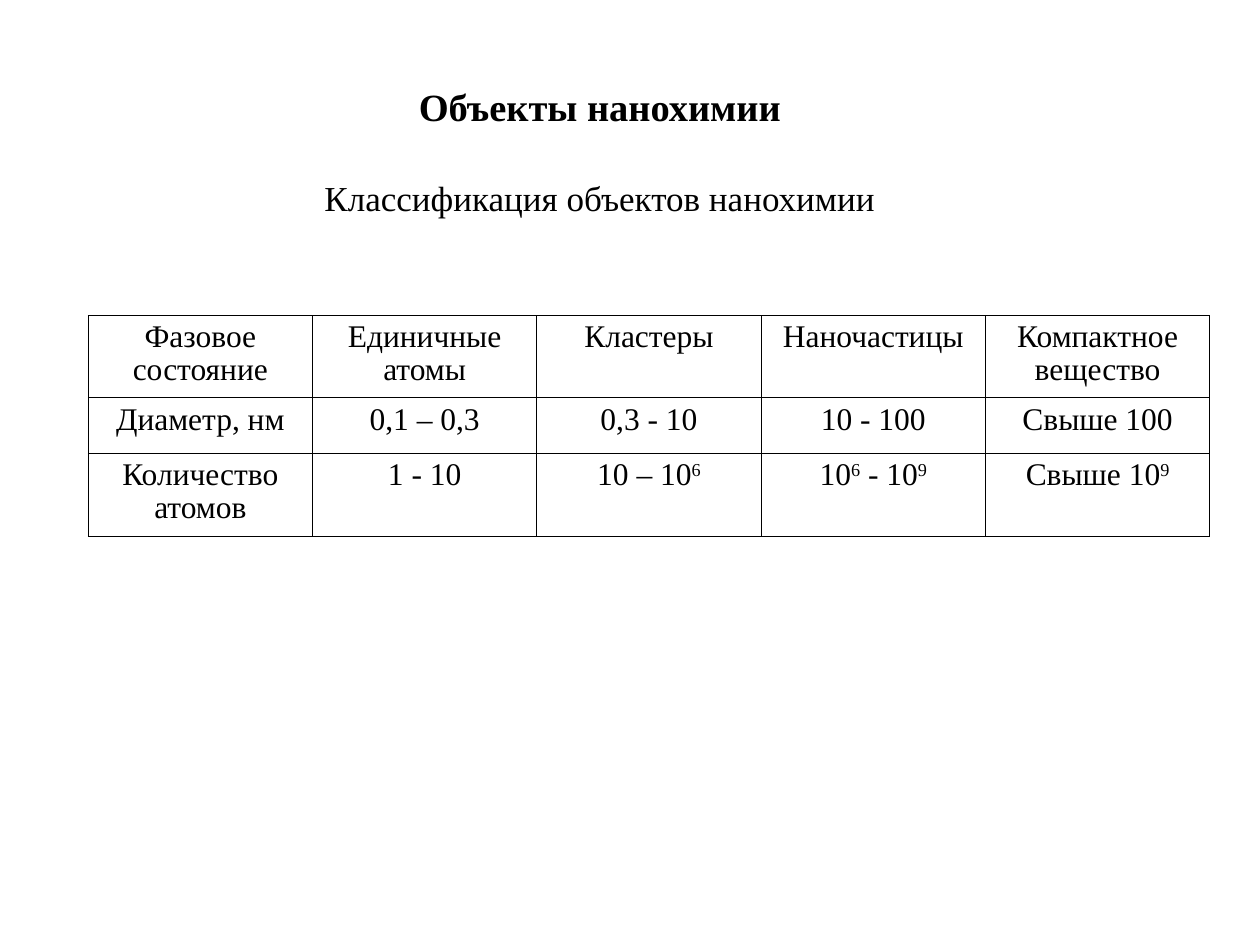
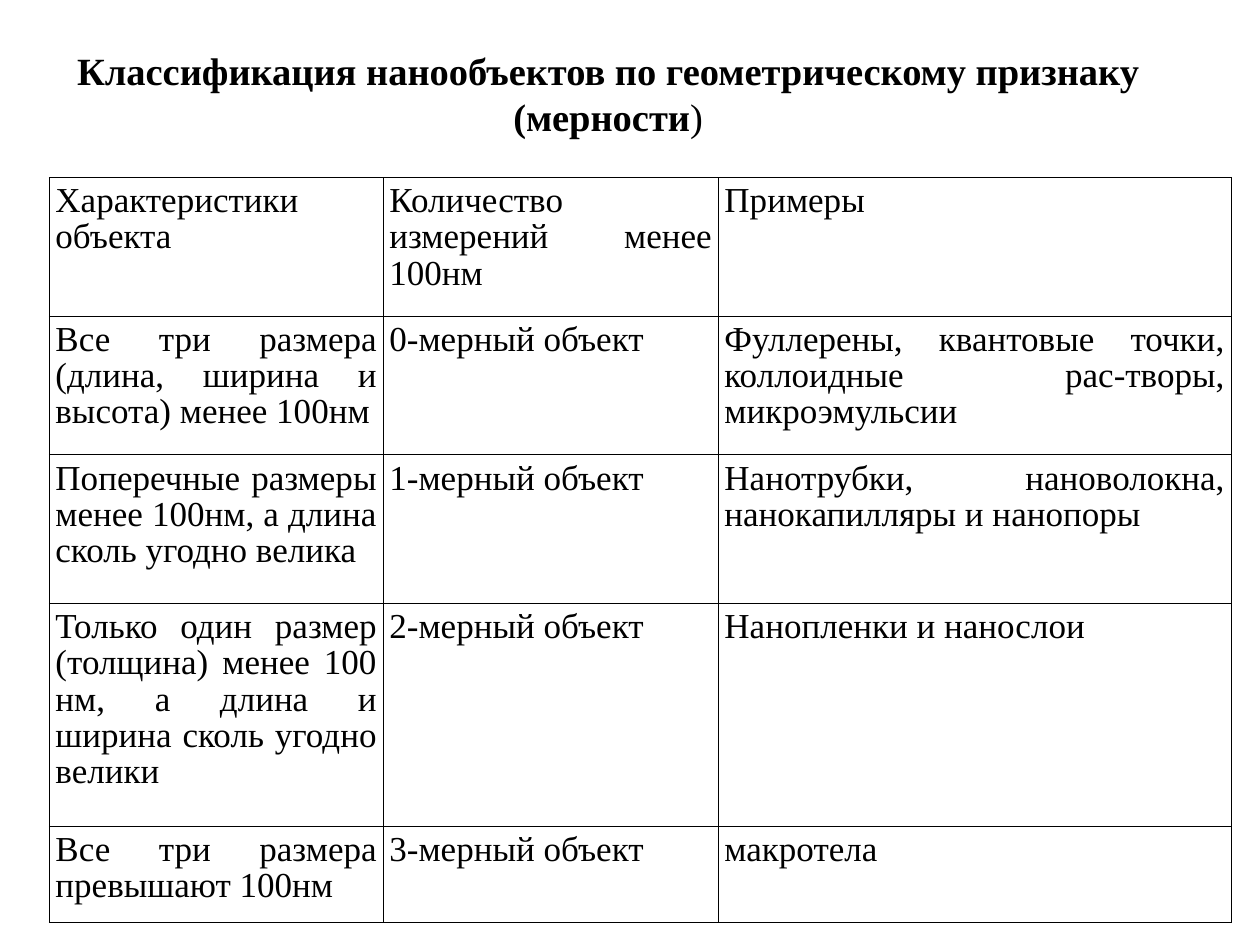
from pptx import Presentation
from pptx.dml.color import RGBColor as Rgb
from pptx.enum.text import MSO_ANCHOR as Anchor, PP_ALIGN as Align
from pptx.oxml import parse_xml
from pptx.oxml.ns import nsdecls
from pptx.util import Pt

COLORS = {"text": "000000", "border": "000000", "page": "FFFFFF"}
FONT = "Times New Roman"
TITLE_SIZE = 22
BORDER_WIDTH = 0.45

PHASES = [
    ["Фазовое состояние", "Единичные атомы", "Кластеры", "Наночастицы", "Компактное вещество"],
    ["Диаметр, нм", "0,1 – 0,3", "0,3 - 10", "10 - 100", "Свыше 100"],
    ["Количество атомов", "1 - 10", "10 – 10^6^", "10^6^ - 10^9^", "Свыше 10^9^"],
]
DIMENSIONS = [
    ["Характеристики объекта", "Количество измерений менее 100нм", "Примеры"],
    ["Все три размера (длина, ширина и высота) менее 100нм", "0-мерный объект",
     "Фуллерены, квантовые точки, коллоидные рас-творы, микроэмульсии"],
    ["Поперечные размеры менее 100нм, а длина сколь угодно велика", "1-мерный объект",
     "Нанотрубки, нановолокна, нанокапилляры и нанопоры"],
    ["Только один размер (толщина) менее 100 нм, а длина и ширина сколь угодно велики",
     "2-мерный объект", "Нанопленки и нанослои"],
    ["Все три размера превышают 100нм", "3-мерный объект", "макротела"],
]


def write(para, text, size=20, bold=False, align=Align.CENTER, spacing=None, before=None):
    """Add text to a paragraph, raising the parts between carets."""
    para.alignment = align
    if spacing:
        para.line_spacing = spacing
    if before:
        para.space_before = Pt(before)
    for index, part in enumerate(text.split("^")):
        if not part:
            continue
        span = para.add_run()
        span.text = part
        span.font.name = FONT
        span.font.size = Pt(size)
        span.font.bold = bold
        span.font.color.rgb = Rgb.from_string(COLORS["text"])
        if index % 2:
            span.font._element.set("baseline", "30000")


def add_page(deck):
    """Add a blank page with the shared background."""
    page = deck.slides.add_slide(deck.slide_layouts[6])
    page.background.fill.solid()
    page.background.fill.fore_color.rgb = Rgb.from_string(COLORS["page"])
    return page


def add_title(page, title, left, top, width, height):
    """Add a bold centred title and return its text frame."""
    box = page.shapes.add_textbox(Pt(left), Pt(top), Pt(width), Pt(height))
    frame = box.text_frame
    frame.word_wrap = True
    frame.vertical_anchor = Anchor.MIDDLE
    write(frame.paragraphs[0], title, size=TITLE_SIZE, bold=True)
    return frame


def outline_cell(cell):
    """Draw a thin line on all four sides of a cell."""
    properties = cell._tc.get_or_add_tcPr()
    for index, side in enumerate(("lnL", "lnR", "lnT", "lnB")):
        properties.insert(index, parse_xml(
            f'<a:{side} {nsdecls("a")} w="{Pt(BORDER_WIDTH)}"><a:solidFill>'
            f'<a:srgbClr val="{COLORS["border"]}"/></a:solidFill></a:{side}>'))


def add_grid(page, rows, left, top, widths, heights, inset, **text_format):
    """Add an outlined table without fills."""
    table = page.shapes.add_table(len(rows), len(widths), Pt(left), Pt(top),
                                  Pt(sum(widths)), Pt(sum(heights))).table
    table.first_row = table.horz_banding = False
    for column, width in zip(table.columns, widths):
        column.width = Pt(width)
    for row, height, texts in zip(table.rows, heights, rows):
        row.height = Pt(height)
        for cell, text in zip(row.cells, texts):
            cell.margin_left = cell.margin_right = Pt(inset)
            cell.fill.background()
            outline_cell(cell)
            write(cell.text_frame.paragraphs[0], text, spacing=0.93, **text_format)


def add_objects_page(deck):
    """Build the page on the objects of nanochemistry."""
    page = add_page(deck)
    add_grid(page, PHASES, 50.4, 180.3, [128.2] * 5, [47, 32, 47], 5, size=18)
    frame = add_title(page, "Объекты нанохимии", 31, 44, 623.5, 84)
    write(frame.add_paragraph(), "Классификация объектов нанохимии", before=27)


def add_dimensions_page(deck):
    """Build the page on classification by dimensions."""
    page = add_page(deck)
    frame = add_title(page, "Классификация нанообъектов по геометрическому признаку (мерности",
                      0, 23, 695, 60.5)
    write(frame.paragraphs[0], ")", size=TITLE_SIZE)
    add_grid(page, DIMENSIONS, 28.1, 101.5, [190.8, 191.5, 293],
             [79.2, 79.2, 85, 127.4, 54.9], 3.6, align=Align.JUSTIFY)


def main():
    """Build and save the deck."""
    deck = Presentation()
    deck.slide_width, deck.slide_height = Pt(720), Pt(540)
    add_objects_page(deck)
    add_dimensions_page(deck)
    deck.save("out.pptx")


if __name__ == "__main__":
    main()
